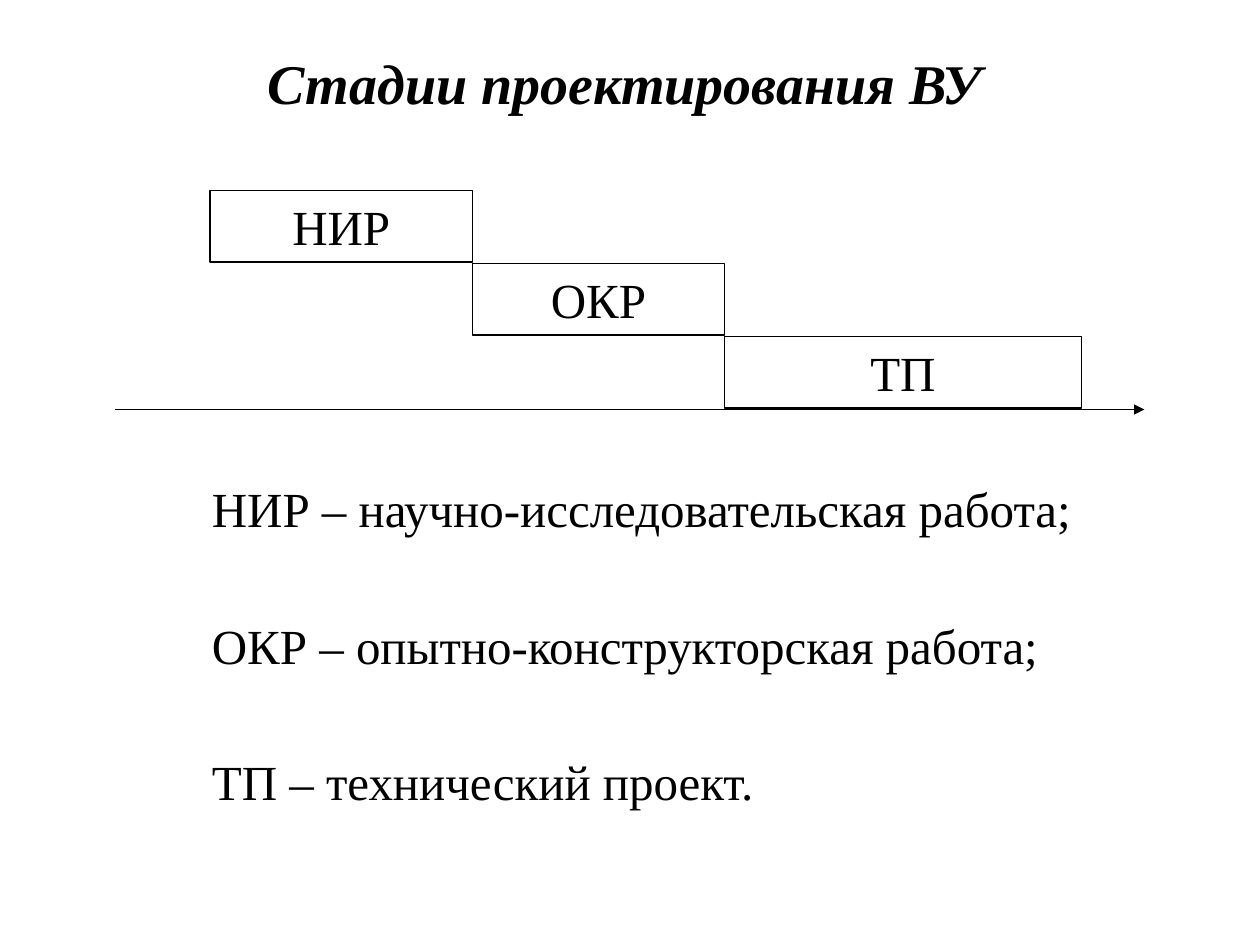
from itertools import pairwise

from lxml import etree
from pptx import Presentation
from pptx.dml.color import RGBColor
from pptx.enum import shapes, text
from pptx.oxml import ns
from pptx.util import Pt

BLACK = RGBColor(0, 0, 0)
WHITE = RGBColor(255, 255, 255)


class StageSlide:
    font = "Times New Roman"
    size = 28
    line_width = 0.74

    def __init__(self, prs):
        self.slide = prs.slides.add_slide(prs.slide_layouts[5])
        background = self.slide.background.fill
        background.solid()
        background.fore_color.rgb = WHITE

    def set_text(self, sp, words, align, size=size, accent=False):
        tf = sp.text_frame
        tf.word_wrap = True
        tf.auto_size = text.MSO_AUTO_SIZE.NONE
        tf.vertical_anchor = text.MSO_ANCHOR.TOP
        p = tf.paragraphs[0]
        p.text = words
        p.alignment = align
        p.line_spacing = 1
        p.space_before = Pt(0)
        p.font.name = self.font
        p.font.size = Pt(size)
        p.font.bold = p.font.italic = accent
        p.font.color.rgb = BLACK

    def title(self, words, left, top, width, height):
        sp = self.slide.shapes.title
        sp.left, sp.top, sp.width, sp.height = map(Pt, (left, top, width, height))
        self.set_text(sp, words, text.PP_ALIGN.CENTER, 32, True)

    def box(self, words, left, top, width, height):
        sp = self.slide.shapes.add_shape(
            shapes.MSO_SHAPE.RECTANGLE, Pt(left), Pt(top), Pt(width), Pt(height))
        sp.shadow.inherit = False
        sp.fill.background()
        sp.line.color.rgb = BLACK
        sp.line.width = Pt(self.line_width)
        self.set_text(sp, words, text.PP_ALIGN.CENTER)

    def label(self, words, left, top, width, height):
        sp = self.slide.shapes.add_textbox(Pt(left), Pt(top), Pt(width), Pt(height))
        self.set_text(sp, words, text.PP_ALIGN.LEFT)

    def arrow(self, x1, y1, x2, y2):
        sp = self.slide.shapes.add_connector(
            shapes.MSO_CONNECTOR.STRAIGHT, Pt(x1), Pt(y1), Pt(x2), Pt(y2))
        sp.line.color.rgb = BLACK
        sp.line.width = Pt(self.line_width)
        props = sp._element.spPr
        etree.SubElement(props.find(ns.qn("a:ln")), ns.qn("a:tailEnd"), type="triangle")
        etree.SubElement(props, ns.qn("a:effectLst"))


prs = Presentation()
prs.slide_width, prs.slide_height = Pt(720), Pt(540)
s = StageSlide(prs)

s.title("Стадии проектирования ВУ", 66, 24, 582, 46)
s.arrow(66, 234, 654, 234)

stages = [
    ("НИР", "научно-исследовательская работа;", 570),
    ("ОКР", "опытно-конструкторская работа;", 540),
    ("ТП", "технический проект.", 486),
]
edges = pairwise([120, 270, 414, 618])
for i, ((short, full, width), (left, right)) in enumerate(zip(stages, edges)):
    s.box(short, left, 108.75 + 41.75 * i, right - left, 41)
    s.label(f"{short} – {full}", 114, 270 + 78 * i, width, 41)

prs.save("out.pptx")
